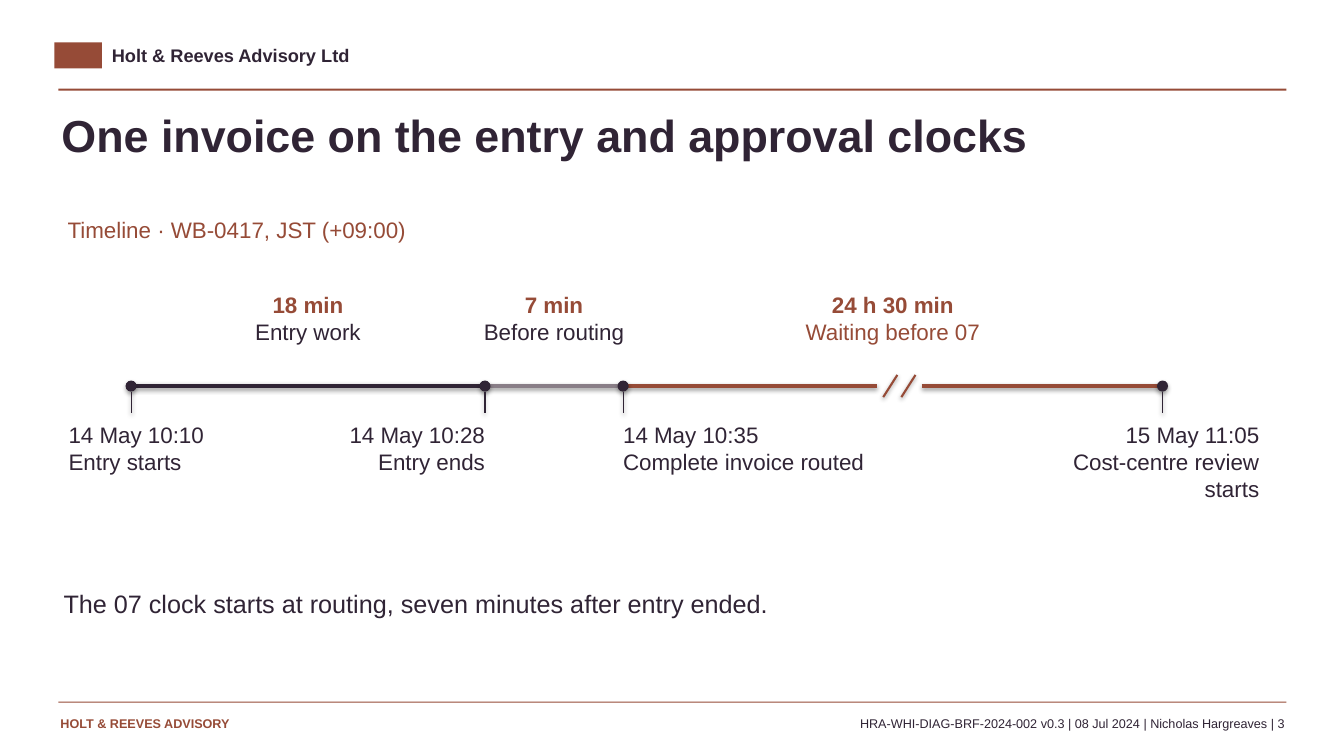
from lxml.etree import SubElement
from pptx import Presentation
from pptx.dml.color import RGBColor
from pptx.enum.shapes import MSO_CONNECTOR as Link, MSO_SHAPE as Shape
from pptx.enum.text import MSO_ANCHOR as Anchor, MSO_AUTO_SIZE as Auto, PP_ALIGN as Align
from pptx.oxml.ns import qn
from pptx.util import Inches, Pt

WIDE, HIGH = 13.33, 7.5
INK, RUST, GREY = "302435", "964B37", "897E87"
LEFT, MID, RIGHT = Align.LEFT, Align.CENTER, Align.RIGHT

NAME = "Holt & Reeves Advisory Ltd"
TITLE = "One invoice on the entry and approval clocks"
HEAD = "Timeline · WB-0417, JST (+09:00)"
NOTE = "The 07 clock starts at routing, seven minutes after entry ended."
FOOT = "HOLT & REEVES ADVISORY"
REF = "HRA-WHI-DIAG-BRF-2024-002 v0.3 | 08 Jul 2024 | Nicholas Hargreaves | 3"

# place on the axis, time, event, label left, label width, alignment
EVENTS = [
    (1.3, "14 May 10:10", "Entry starts", 0.68, 2, LEFT),
    (4.81, "14 May 10:28", "Entry ends", 2.52, 2.29, RIGHT),
    (6.18, "14 May 10:35", "Complete invoice routed", 6.18, 2.59, LEFT),
    (11.53, "15 May 11:05", "Cost-centre review starts", 10.18, 2.31, RIGHT),
]
# length, meaning, line colour, colour of the meaning
SPANS = [
    ("18 min", "Entry work", INK, INK),
    ("7 min", "Before routing", GREY, INK),
    ("24 h 30 min", "Waiting before 07", RUST, RUST),
]
EDGE, FULL = 0.58, 12.18
AXIS, DOT, TICK = 3.83, 0.11, 0.27
BREAK, GAP = 8.92, 0.22
SPAN_W = 2.36


def color(code):
    return RGBColor.from_string(code)


def fill(frame, rows, align=LEFT):
    """Write rows of (text, size, colour, bold), one paragraph each."""
    frame.margin_left = frame.margin_right = 0
    frame.margin_top = frame.margin_bottom = 0
    frame.word_wrap = True
    frame.auto_size = Auto.NONE
    frame.vertical_anchor = Anchor.TOP
    for i, (words, size, code, bold) in enumerate(rows):
        para = frame.add_paragraph() if i else frame.paragraphs[0]
        para.text = words
        para.alignment = align
        para.space_before = Pt(0)
        font = para.font
        font.name, font.size, font.bold = "Arial", Pt(size), bold
        font.color.rgb = color(code)


def place(item, *box):
    item.left, item.top, item.width, item.height = map(Inches, box)


def text(box, rows, align=LEFT):
    fill(slide.shapes.add_textbox(*map(Inches, box)).text_frame, rows, align)


def block(kind, box, code):
    item = slide.shapes.add_shape(kind, *map(Inches, box))
    item.fill.solid()
    item.fill.fore_color.rgb = color(code)
    item.line.fill.background()
    return item


def line(x1, y1, x2, y2, code, width):
    item = slide.shapes.add_connector(Link.STRAIGHT, *map(Inches, (x1, y1, x2, y2)))
    item.line.color.rgb = color(code)
    item.line.width = Pt(width)


deck = Presentation()
deck.slide_width, deck.slide_height = Inches(WIDE), Inches(HIGH)
slide = deck.slides.add_slide(deck.slide_layouts[1])

# Header, footer and rules
for box, code in [
    ((0.54, 0.42, 0.47, 0.26), RUST),
    ((EDGE, 0.88, FULL, 0.02), RUST),
    ((EDGE, 6.96, FULL, 0.01), RUST),
]:
    block(Shape.RECTANGLE, box, code).shadow.inherit = False
text((1.11, 0.44, 6, 0.27), [(NAME, 13, INK, True)])
text((0.6, 7.1, 3.4, 0.25), [(FOOT, 9, RUST, True)])
text((4.12, 7.1, 8.62, 0.25), [(REF, 9, INK, False)], RIGHT)

# Title and closing note
title, body = slide.placeholders
place(title, 0.61, 1.07, 12, 0.78)
fill(title.text_frame, [(TITLE, 32, INK, True)])
place(body, 0.63, 5.84, 11.94, 0.8)
props = body.text_frame.paragraphs[0]._p.get_or_add_pPr()
props.set("marL", "0")
props.set("indent", "0")
SubElement(props, qn("a:buNone"))
fill(body.text_frame, [(NOTE, 18, INK, False)])
text((0.67, 2.14, 11.8, 0.36), [(HEAD, 16, RUST, False)])

# Spans, the one across the break drawn in two pieces
for (x1, *_), (x2, *_), (length, sense, code, tone) in zip(EVENTS, EVENTS[1:], SPANS):
    stops = [x1, BREAK - GAP, BREAK + GAP, x2] if x1 < BREAK < x2 else [x1, x2]
    for start, end in zip(stops[::2], stops[1::2]):
        line(start, AXIS, end, AXIS, code, 3)
    text(((x1 + x2 - SPAN_W) / 2, 2.89, SPAN_W, 0.85),
         [(length, 16, RUST, True), (sense, 16, tone, False)], MID)
for x in (BREAK - 0.09, BREAK + 0.09):
    line(x - 0.07, AXIS + 0.11, x + 0.07, AXIS - 0.11, RUST, 1.5)

# Events
for x, time, event, left, width, align in EVENTS:
    block(Shape.OVAL, (x - DOT / 2, AXIS - DOT / 2, DOT, DOT), INK)
    line(x, AXIS + DOT / 2, x, AXIS + TICK, INK, 0.8)
    text((left, 4.18, width, 0.9),
         [(time, 16, INK, False), (event, 16, INK, False)], align)

deck.save("out.pptx")
